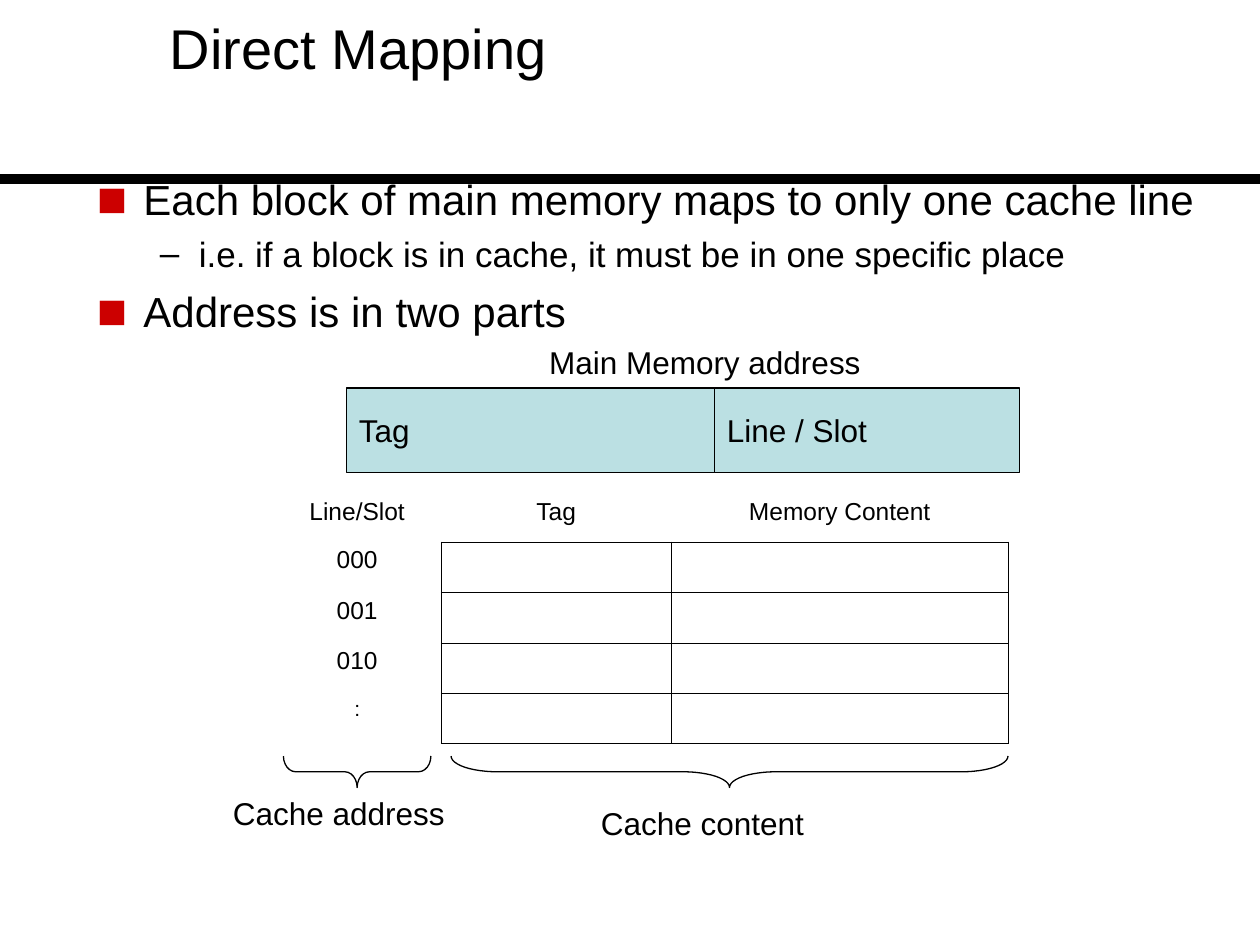
import pptx
import pptx.util
import pptx.dml.color
import pptx.enum.shapes
import pptx.enum.text
import pptx.oxml
import pptx.oxml.ns
from lxml import etree

# Content
TITLE = "Direct Mapping"
BULLETS = [
    (0, "Each block of main memory maps to only one cache line"),
    (1, "i.e. if a block is in cache, it must be in one specific place"),
    (0, "Address is in two parts"),
]
ADDRESS_FIELDS = [("Tag", 2.92), ("Line / Slot", 2.42)]
CACHE_HEADER = ["Line/Slot", "Tag", "Memory Content"]
CACHE_LINES = ["000", "001", "010", ":"]
# text, left, top, width, wraps
LABELS = [
    ("Main Memory address", 4.26, 2.67, 2.67, False),
    ("Cache address", 1.75, 6.25, 2.42, True),
    ("Cache content", 4.67, 6.33, 2.55, True),
]
# left, width, curve of the ends as a share of the depth
BRACES = [(2.25, 1.17, 0.39), (3.58, 4.42, 1.47)]

# Style
COLORS = {"ink": "000000", "field": "BBE0E3", "bullet": "CC0000"}
FONT = "Arial"
LEVELS = [
    {"size": 24, "margin": 0.37, "indent": -0.37, "before": 6,
     "mark": "■", "color": "bullet", "scale": 120},
    {"size": 20, "margin": 0.81, "indent": -0.31, "before": 5,
     "mark": "–", "color": "ink", "scale": 100},
]

# Layout, in inches
SLIDE_WIDTH, SLIDE_HEIGHT = 10, 7.5
RULE_TOP = 1.42
FIELD_LEFT, FIELD_TOP, FIELD_HEIGHT = 2.75, 3.08, 0.67
TABLE_LEFT, TABLE_TOP, ROW_HEIGHT = 2.17, 3.92, 0.38
COLUMN_WIDTHS = [1.33, 1.83, 2.67]
BRACE_TOP, BRACE_DEPTH = 6, 0.25

Inches = pptx.util.Inches
Pt = pptx.util.Pt
ANCHOR = pptx.enum.text.MSO_ANCHOR
SHAPES = pptx.enum.shapes.MSO_SHAPE


def color(name):
    return pptx.dml.color.RGBColor.from_string(COLORS[name])


def box(left, top, width, height):
    return [Inches(value) for value in (left, top, width, height)]


def format_paragraph(paragraph, size):
    for run in paragraph.runs:
        run.font.size = Pt(size)
        run.font.name = FONT
        run.font.color.rgb = color("ink")


def add_text(slide, text, bounds, size, anchor=ANCHOR.TOP, wrap=True):
    frame = slide.shapes.add_textbox(*box(*bounds)).text_frame
    frame.word_wrap = wrap
    frame.vertical_anchor = anchor
    frame.text = text
    for paragraph in frame.paragraphs:
        format_paragraph(paragraph, size)
    return frame


def add_outlined(slide, preset, bounds):
    shape = slide.shapes.add_shape(preset, *box(*bounds))
    shape.shadow.inherit = False
    shape.line.color.rgb = color("ink")
    shape.line.width = Pt(0.75)
    return shape


def set_bullet(paragraph, level):
    properties = paragraph._p.get_or_add_pPr()
    properties.set("marL", str(Inches(level["margin"])))
    properties.set("indent", str(Inches(level["indent"])))
    tag = pptx.oxml.ns.qn
    bullet_color = etree.SubElement(properties, tag("a:buClr"))
    etree.SubElement(bullet_color, tag("a:srgbClr"), val=COLORS[level["color"]])
    etree.SubElement(properties, tag("a:buSzPct"), val=str(level["scale"] * 1000))
    etree.SubElement(properties, tag("a:buFont"), typeface=FONT)
    etree.SubElement(properties, tag("a:buChar"), char=level["mark"])


def set_borders(cell, sides):
    properties = cell._tc.get_or_add_tcPr()
    tag = pptx.oxml.ns.qn
    for position, side in enumerate("LRTB"):
        line = etree.Element(tag("a:ln" + side), w=str(Pt(0.23)))
        properties.insert(position, line)
        if side in sides:
            fill = etree.SubElement(line, tag("a:solidFill"))
            etree.SubElement(fill, tag("a:srgbClr"), val=COLORS["ink"])
        else:
            etree.SubElement(line, tag("a:noFill"))


def add_address(slide):
    left = FIELD_LEFT
    for text, width in ADDRESS_FIELDS:
        field = add_outlined(slide, SHAPES.RECTANGLE,
                             (left, FIELD_TOP, width, FIELD_HEIGHT))
        field.fill.solid()
        field.fill.fore_color.rgb = color("field")
        field.text_frame.text = text
        field.text_frame.vertical_anchor = ANCHOR.MIDDLE
        paragraph = field.text_frame.paragraphs[0]
        paragraph.alignment = pptx.enum.text.PP_ALIGN.LEFT
        format_paragraph(paragraph, 18)
        left += width


def add_cache_table(slide):
    rows = [CACHE_HEADER] + [[line, "", ""] for line in CACHE_LINES]
    bounds = box(TABLE_LEFT, TABLE_TOP, sum(COLUMN_WIDTHS), ROW_HEIGHT * len(rows))
    table = slide.shapes.add_table(len(rows), len(COLUMN_WIDTHS), *bounds).table
    table.first_row = table.horz_banding = False
    for column, width in zip(table.columns, COLUMN_WIDTHS):
        column.width = Inches(width)
    for row_index, texts in enumerate(rows):
        table.rows[row_index].height = Inches(ROW_HEIGHT)
        for column_index, text in enumerate(texts):
            cell = table.cell(row_index, column_index)
            cell.fill.background()
            if row_index and column_index:
                sides = "LRTB"
            elif row_index:
                sides = "R"
            else:
                sides = "B" if column_index else ""
            set_borders(cell, sides)
            if text:
                size = 12 if text == ":" else 14
                cell.text_frame.text = text
                paragraph = cell.text_frame.paragraphs[0]
                paragraph.alignment = pptx.enum.text.PP_ALIGN.CENTER
                paragraph.line_spacing = 0.93
                paragraph.space_before = Pt(size / 4)
                format_paragraph(paragraph, size)


def add_brace(slide, left, width, curve):
    # A left brace turned about its centre, so that it points down
    shape = add_outlined(slide, SHAPES.LEFT_BRACE, (
        left + (width - BRACE_DEPTH) / 2,
        BRACE_TOP + (BRACE_DEPTH - width) / 2,
        BRACE_DEPTH, width))
    shape.rotation = 270
    shape.adjustments[0] = curve
    shape.fill.background()


def main():
    presentation = pptx.Presentation()
    presentation.slide_width = Inches(SLIDE_WIDTH)
    presentation.slide_height = Inches(SLIDE_HEIGHT)
    slide = presentation.slides.add_slide(presentation.slide_layouts[6])

    # Title and rule
    add_text(slide, TITLE, (1.25, -0.25, 9, 1.25), 32, ANCHOR.MIDDLE)
    rule = slide.shapes.add_connector(
        pptx.enum.shapes.MSO_CONNECTOR.STRAIGHT,
        0, Inches(RULE_TOP), Inches(SLIDE_WIDTH), Inches(RULE_TOP))
    rule.line.color.rgb = color("ink")
    rule.line.width = Pt(6)
    etree.SubElement(rule._element.spPr, pptx.oxml.ns.qn("a:effectLst"))

    # Address, cache table, braces and their labels
    add_address(slide)
    add_cache_table(slide)
    for brace in BRACES:
        add_brace(slide, *brace)
    for text, left, top, width, wrap in LABELS:
        add_text(slide, text, (left, top, width, 0.4), 18, wrap=wrap)

    # Bullets
    text = "\n".join(line for _, line in BULLETS)
    frame = add_text(slide, text, (0.67, 1.33, 9, 1.58), 24)
    for paragraph, (depth, _) in zip(frame.paragraphs, BULLETS):
        level = LEVELS[depth]
        paragraph.level = depth
        paragraph.space_before = Pt(level["before"])
        format_paragraph(paragraph, level["size"])
        set_bullet(paragraph, level)

    presentation.save("out.pptx")


if __name__ == "__main__":
    main()
